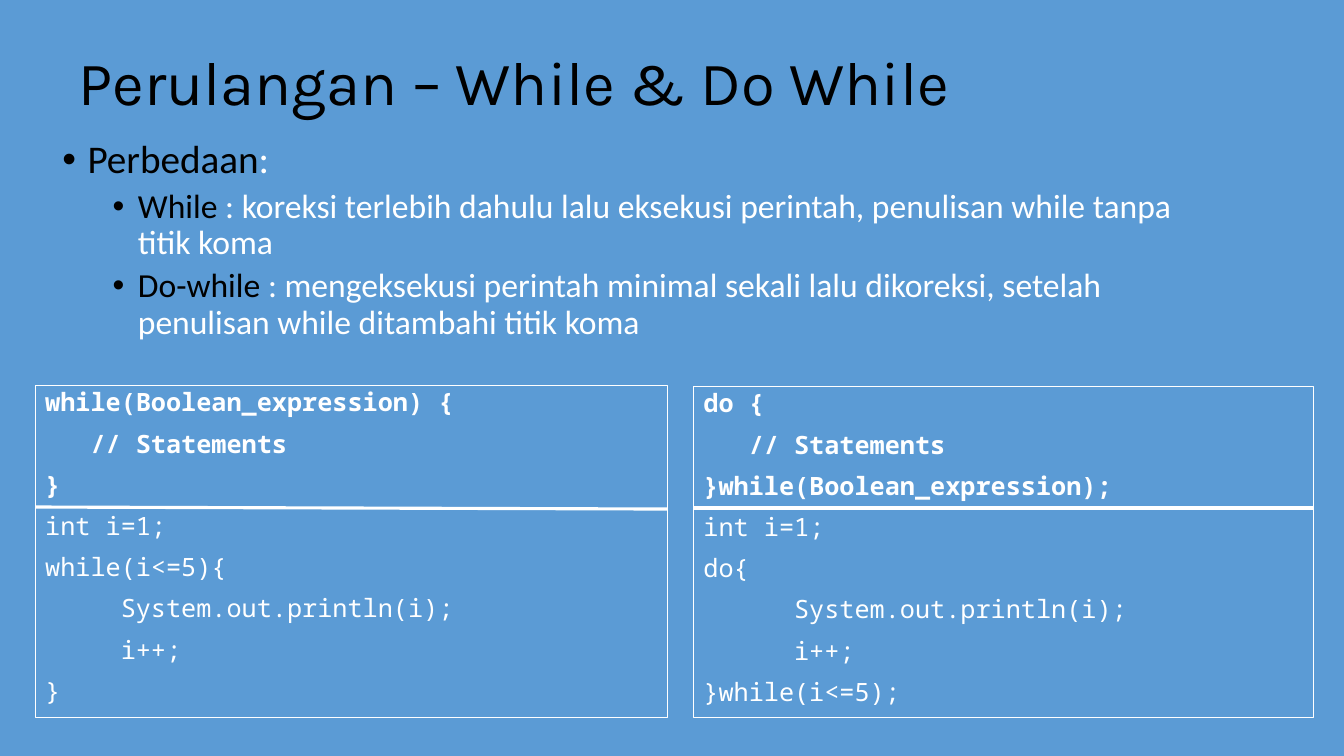
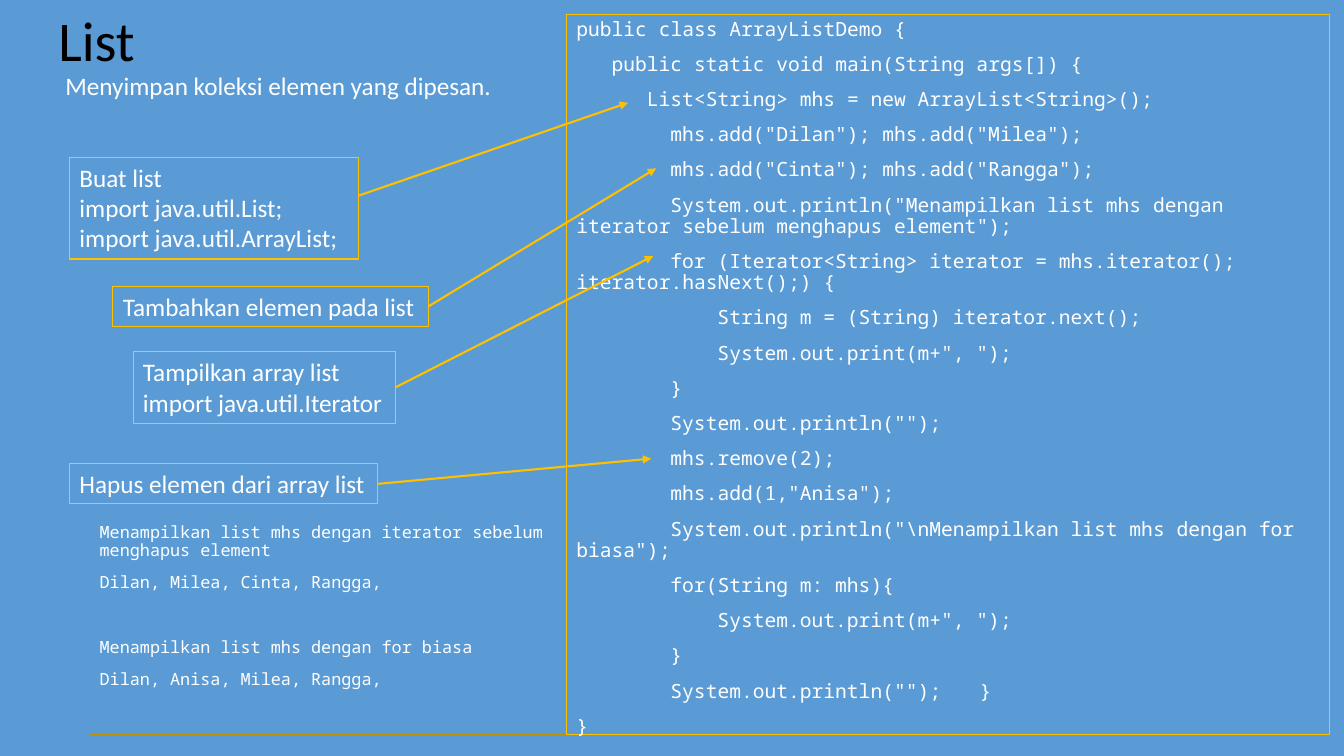
"""Build two slides on loops and lists in Java."""
from dataclasses import dataclass

from lxml.etree import SubElement
from pptx import Presentation
from pptx.dml.color import RGBColor
from pptx.enum.shapes import MSO_CONNECTOR, MSO_SHAPE
from pptx.enum.text import MSO_ANCHOR, PP_ALIGN
from pptx.oxml.ns import qn
from pptx.util import Inches, Pt

RECT = MSO_SHAPE.RECTANGLE
STRAIGHT = MSO_CONNECTOR.STRAIGHT
TOP, MIDDLE = MSO_ANCHOR.TOP, MSO_ANCHOR.MIDDLE
LEFT = PP_ALIGN.LEFT
COLS, ROWS = 160, 90
CELL = Inches(7.5) / ROWS
RIGHT_SIDE = 3
HUES = {"back": "5B9BD5", "dark": "000000", "light": "FFFFFF",
        "gold": "FFC000", "bronze": "BF9000"}
SANS, HEAD, MONO = "Calibri", "Karla", "Noto Sans Mono"
GLYPH = 0.6

WHILE = '''while(Boolean_expression) {
   // Statements
}
int i=1;
while(i<=5){
     System.out.println(i);
     i++;
}'''
DO_WHILE = '''do {
   // Statements
}while(Boolean_expression);
int i=1;
do{
      System.out.println(i);
      i++;
}while(i<=5);'''
DEMO = '''public class ArrayListDemo {
   public static void main(String args[]) {
      List<String> mhs = new ArrayList<String>();
        mhs.add("Dilan"); mhs.add("Milea");
        mhs.add("Cinta"); mhs.add("Rangga");
        System.out.println("Menampilkan list mhs dengan iterator sebelum menghapus element");
        for (Iterator<String> iterator = mhs.iterator(); iterator.hasNext();) {
            String m = (String) iterator.next();
            System.out.print(m+", ");
        }
        System.out.println("");
        mhs.remove(2);
        mhs.add(1,"Anisa");
        System.out.println("\\nMenampilkan list mhs dengan for biasa");
        for(String m: mhs){
            System.out.print(m+", ");
        }
        System.out.println("");\t}
}'''
TAB_STOP = 34
FIRST = '''Menampilkan list mhs dengan iterator sebelum menghapus element
Dilan, Milea, Cinta, Rangga,'''
SECOND = '''Menampilkan list mhs dengan for biasa
Dilan, Anisa, Milea, Rangga,'''


@dataclass(frozen=True)
class Area:
    """A place on the grid, in columns and rows."""
    col: float
    row: float
    wide: float
    high: float


@dataclass(frozen=True)
class Run:
    """A piece of text in one style."""
    text: str
    size: float
    font: str = SANS
    hue: str = "light"
    bold: bool = False


@dataclass(frozen=True)
class Para:
    """A paragraph with its spacing, indents and bullet."""
    runs: tuple[Run, ...]
    before: float = 0
    lines: float = 1.0
    margin: float = 0
    indent: float = 0
    bullet: bool = False
    tab: float = 0


@dataclass(frozen=True)
class Panel:
    """A code box with a rule below its syntax part."""
    area: Area
    code: str
    start: float
    end: float


@dataclass(frozen=True)
class Note:
    """A label whose arrow points at a line of code."""
    area: Area
    text: str
    tip: tuple[float, float]
    row: float | None = None
    wrap: bool = False


PANELS = (
    Panel(Area(4.2, 45.84, 75.24, 39.6), WHILE, 60.36, 60.6),
    Panel(Area(82.56, 45.96, 73.8, 39.48), DO_WHILE, 60.48, 60.48),
)
NOTES = (
    Note(Area(8.28, 18.72, 34.44, 12.12),
         "Buat list\nimport java.util.List;\nimport java.util.ArrayList;",
         (74.76, 12.24), 23.28, True),
    Note(Area(13.44, 34.08, 37.56, 4.8), "Tambahkan elemen pada list", (78.12, 20.04)),
    Note(Area(15.84, 41.88, 31.2, 8.52),
         "Tampilkan array list\nimport java.util.Iterator", (77.76, 30.48)),
    Note(Area(8.28, 55.2, 36.72, 4.8), "Hapus elemen dari array list", (77.52, 54.6)),
)
POINTS = (
    ("While", " : koreksi terlebih dahulu lalu eksekusi perintah, "
              "penulisan while tanpa titik koma"),
    ("Do-while", " : mengeksekusi perintah minimal sekali lalu dikoreksi, "
                 "setelah penulisan while ditambahi titik koma"),
)


def grid(count: float) -> int:
    """Turn a count of cells into a length."""
    return round(count * CELL)


def tint(name: str) -> RGBColor:
    """Look up a colour."""
    return RGBColor.from_string(HUES[name])


def write(frame, paras: list[Para]) -> None:
    """Fill a text frame run by run."""
    for i, para in enumerate(paras):
        line = frame.add_paragraph() if i else frame.paragraphs[0]
        line.alignment = LEFT
        line.line_spacing = para.lines
        line.space_before = Pt(para.before)
        props = line._p.get_or_add_pPr()
        props.set("marL", str(Inches(para.margin)))
        props.set("indent", str(Inches(para.indent)))
        if para.bullet:
            SubElement(props, qn("a:buFont")).set("typeface", "Arial")
            SubElement(props, qn("a:buChar")).set("char", "•")
        if para.tab:
            stop = SubElement(SubElement(props, qn("a:tabLst")), qn("a:tab"))
            stop.set("pos", str(Inches(para.tab)))
            stop.set("algn", "l")
        for run in para.runs:
            piece = line.add_run()
            piece.text = run.text
            font = piece.font
            font.name, font.size, font.bold = run.font, Pt(run.size), run.bold
            font.color.rgb = tint(run.hue)


def place(slide, area: Area, paras: list[Para], edge: str = "",
          wrap: bool = True, anchor: MSO_ANCHOR = TOP):
    """Add text on the grid, with a frame if an edge colour is given."""
    spot = [grid(n) for n in (area.col, area.row, area.wide, area.high)]
    if edge:
        shape = slide.shapes.add_shape(RECT, *spot)
        shape.shadow.inherit = False
        shape.fill.background()
        shape.line.color.rgb = tint(edge)
        shape.line.width = Pt(0.75)
    else:
        shape = slide.shapes.add_textbox(*spot)
    frame = shape.text_frame
    frame.word_wrap = wrap
    frame.vertical_anchor = anchor
    write(frame, paras)
    return shape


def rule(slide, start: tuple[float, float], end: tuple[float, float],
         hue: str, width: float, arrow: bool = False):
    """Draw a straight line between two grid points."""
    ends = [grid(n) for n in (*start, *end)]
    line = slide.shapes.add_connector(STRAIGHT, *ends)
    line.line.color.rgb = tint(hue)
    line.line.width = Pt(width)
    if arrow:
        SubElement(line.line._get_or_add_ln(), qn("a:tailEnd")).set("type", "triangle")
    SubElement(line._element.spPr, qn("a:effectLst"))
    return line


def listing(code: str, size: float, bold: int = 0, lead: float = 10) -> list[Para]:
    """Turn code into paragraphs, with its depth as first-line indent."""
    step = size * GLYPH / 72
    paras = []
    for i, line in enumerate(code.split("\n")):
        text = line.lstrip(" ")
        paras.append(Para((Run(text, size, MONO, bold=i < bold),),
                          10 if i else lead, 0.9,
                          indent=(len(line) - len(text)) * step,
                          tab=TAB_STOP * step if "\t" in text else 0))
    return paras


def plain(text: str) -> list[Para]:
    """Turn lines of text into simple paragraphs."""
    return [Para((Run(line, 18),)) for line in text.split("\n")]


def start(deck, title: str, area: Area, size: float, font: str):
    """Add a blank slide with its backdrop and title."""
    slide = deck.slides.add_slide(deck.slide_layouts[6])
    slide.background.fill.solid()
    slide.background.fill.fore_color.rgb = tint("back")
    place(slide, area, [Para((Run(title, size, font, "dark"),), lines=0.9)],
          anchor=MIDDLE)
    return slide


def loops(deck) -> None:
    """Build the slide that compares the two loops."""
    slide = start(deck, "Perulangan – While & Do While",
                  Area(8.16, 1.44, 138, 17.4), 44, HEAD)
    for panel in PANELS:
        area = panel.area
        place(slide, area, listing(panel.code, 18, bold=3), "light")
        rule(slide, (area.col, panel.start), (area.col + area.wide, panel.end),
             "light", 2.25)
    paras = [Para((Run("Perbedaan", 28, hue="dark"), Run(":", 28)),
                  10, 0.9, 0.25, -0.25, True)]
    paras += [Para((Run(term, 24, hue="dark"), Run(rest, 24)),
                   5, 0.9, 0.75, -0.25, True) for term, rest in POINTS]
    place(slide, Area(6.24, 16.08, 137.28, 32.88), paras)


def lists(deck) -> None:
    """Build the slide that explains the list demo."""
    slide = start(deck, "List", Area(5.76, 0, 138, 10.44), 40, SANS)
    place(slide, Area(67.44, 1.68, 90.84, 85.8), listing(DEMO, 14), "gold")
    for note in NOTES:
        area = note.area
        label = place(slide, area, plain(note.text), "gold", note.wrap)
        row = note.row or area.row + area.high / 2
        arrow = rule(slide, (area.col + area.wide, row), note.tip, "gold", 1.5, True)
        if note.row is None:
            arrow.begin_connect(label, RIGHT_SIDE)
    place(slide, Area(10.68, 61.8, 56.64, 25.68),
          listing(FIRST, 12) + listing(SECOND, 12, lead=33), "bronze")
    place(slide, Area(6.6, 7.8, 53.76, 4.8),
          plain("Menyimpan koleksi elemen yang dipesan."), wrap=False)


def main() -> None:
    """Build and save the deck."""
    deck = Presentation()
    deck.slide_width, deck.slide_height = grid(COLS), grid(ROWS)
    loops(deck)
    lists(deck)
    deck.save("out.pptx")


if __name__ == "__main__":
    main()
